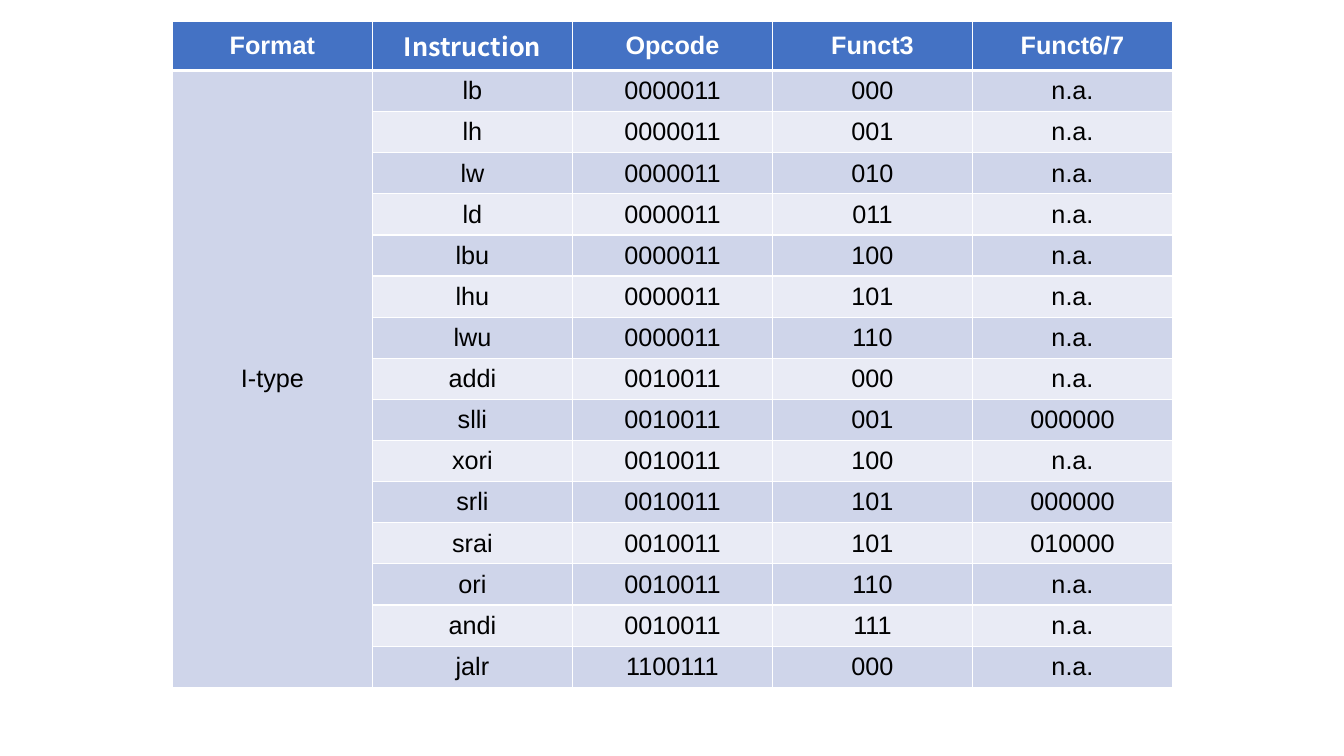
from dataclasses import dataclass

from lxml.etree import SubElement as Sub
from pptx import Presentation
from pptx.dml.color import RGBColor as RGB
from pptx.enum.text import MSO_ANCHOR as Anchor, PP_ALIGN as Align
from pptx.oxml.ns import qn
from pptx.table import Table, _Cell as Cell
from pptx.util import Inches, Pt

HUES = {"head": "4472C4", "dark": "CFD5EA", "light": "E9EBF5",
        "white": "FFFFFF", "black": "000000"}
TITLES = ["Format", "Instruction", "Opcode", "Funct3", "Funct6/7"]
WIDTH, HEIGHT, TOP = 9.92, 6.61, 0.49


@dataclass
class Op:
    """One instruction with its encoding fields."""
    name: str
    code: str
    funct: str
    extra: str = "n.a."


@dataclass
class Look:
    """The look of a cell."""
    fill: str
    ink: str = "black"
    bold: bool = False
    font: str = "Arial"
    top: int = 1
    base: int = 1


LOAD, IMM = "0000011", "0010011"
OPS = [
    Op("lb", LOAD, "000"),
    Op("lh", LOAD, "001"),
    Op("lw", LOAD, "010"),
    Op("ld", LOAD, "011"),
    Op("lbu", LOAD, "100"),
    Op("lhu", LOAD, "101"),
    Op("lwu", LOAD, "110"),
    Op("addi", IMM, "000"),
    Op("slli", IMM, "001", "000000"),
    Op("xori", IMM, "100"),
    Op("srli", IMM, "101", "000000"),
    Op("srai", IMM, "101", "010000"),
    Op("ori", IMM, "110"),
    Op("andi", IMM, "111"),
    Op("jalr", "1100111", "000"),
]


def edge(cell: Cell, look: Look) -> None:
    """Draw white borders around a cell."""
    props = cell._tc.get_or_add_tcPr()
    sides = {"lnL": 1, "lnR": 1, "lnT": look.top, "lnB": look.base}
    for tag, size in sides.items():
        line = Sub(props, qn(f"a:{tag}"), w=str(Pt(size)))
        fill = Sub(line, qn("a:solidFill"))
        Sub(fill, qn("a:srgbClr"), val=HUES["white"])


def style(cell: Cell, text: str, look: Look) -> None:
    """Fill a cell with formatted text."""
    edge(cell, look)
    cell.fill.solid()
    cell.fill.fore_color.rgb = RGB.from_string(HUES[look.fill])
    cell.vertical_anchor = Anchor.MIDDLE
    cell.text = text
    para = cell.text_frame.paragraphs[0]
    para.alignment = Align.CENTER
    font = para.font
    font.name, font.size, font.bold = look.font, Pt(18), look.bold
    font.color.rgb = RGB.from_string(HUES[look.ink])


def fill(table: Table) -> None:
    """Write the heading and the instruction rows."""
    for col, title in enumerate(TITLES):
        face = "Noto Sans CJK SC" if title == "Instruction" else "Arial"
        style(table.cell(0, col), title,
              Look("head", "white", True, face, base=3))
    for row, op in enumerate(OPS, 1):
        top = 3 if row == 1 else 1
        band = Look("dark" if row % 2 else "light", top=top)
        kind = "I-type" if row == 1 else ""
        texts = [kind, op.name, op.code, op.funct, op.extra]
        for col, text in enumerate(texts):
            style(table.cell(row, col), text, band if col else Look("dark", top=top))
    table.cell(1, 0).merge(table.cell(len(OPS), 0))


def main() -> None:
    """Build the instruction table slide."""
    deck = Presentation()
    deck.slide_width, deck.slide_height = Inches(13.33), Inches(7.5)
    slide = deck.slides.add_slide(deck.slide_layouts[6])
    table = slide.shapes.add_table(
        len(OPS) + 1, len(TITLES), Inches(1.71), Inches(0.21),
        Inches(WIDTH), Inches(HEIGHT)).table
    for row in table.rows:
        row.height = Inches((HEIGHT - TOP) / len(OPS))
    table.rows[0].height = Inches(TOP)
    fill(table)
    deck.save("out.pptx")


if __name__ == "__main__":
    main()
